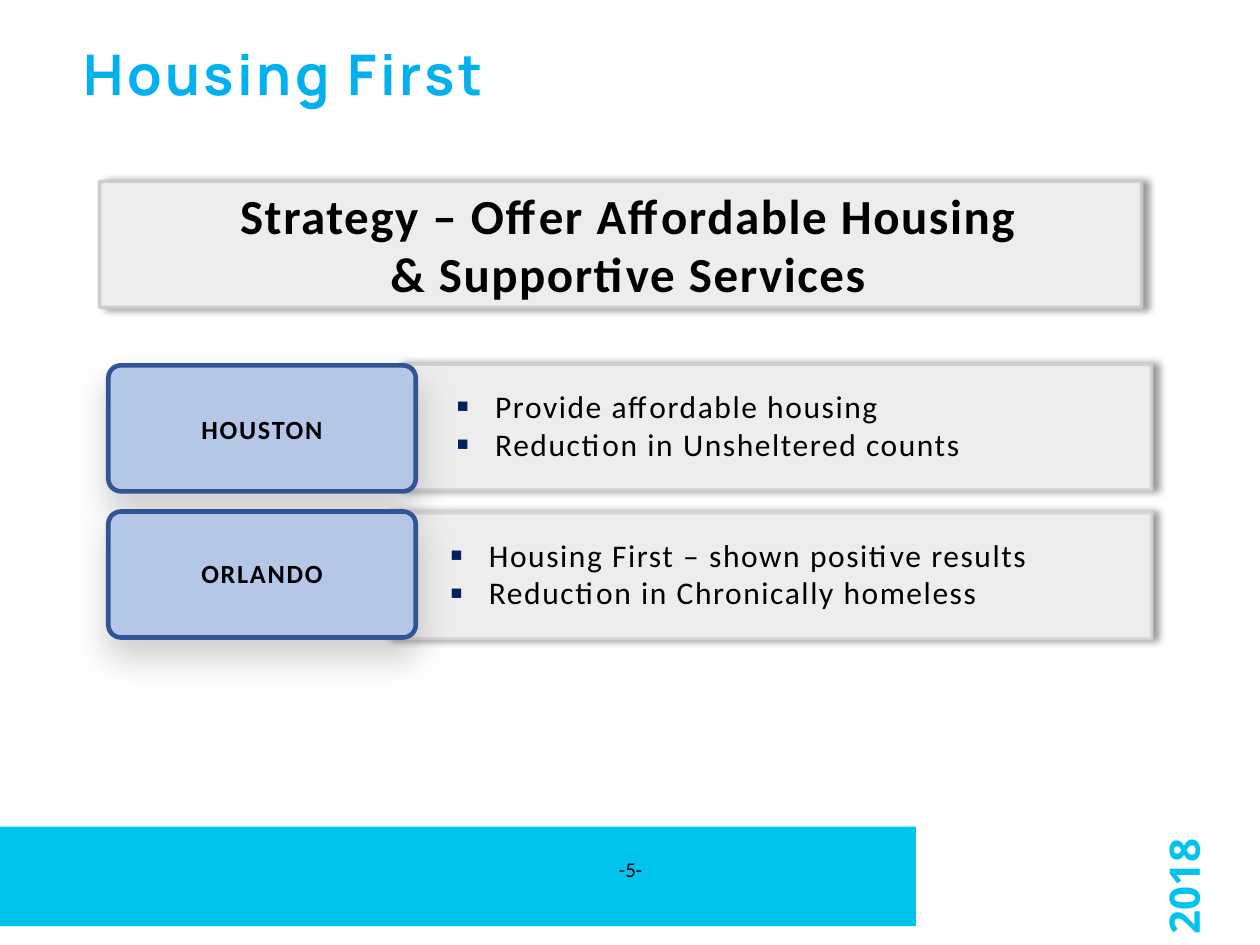
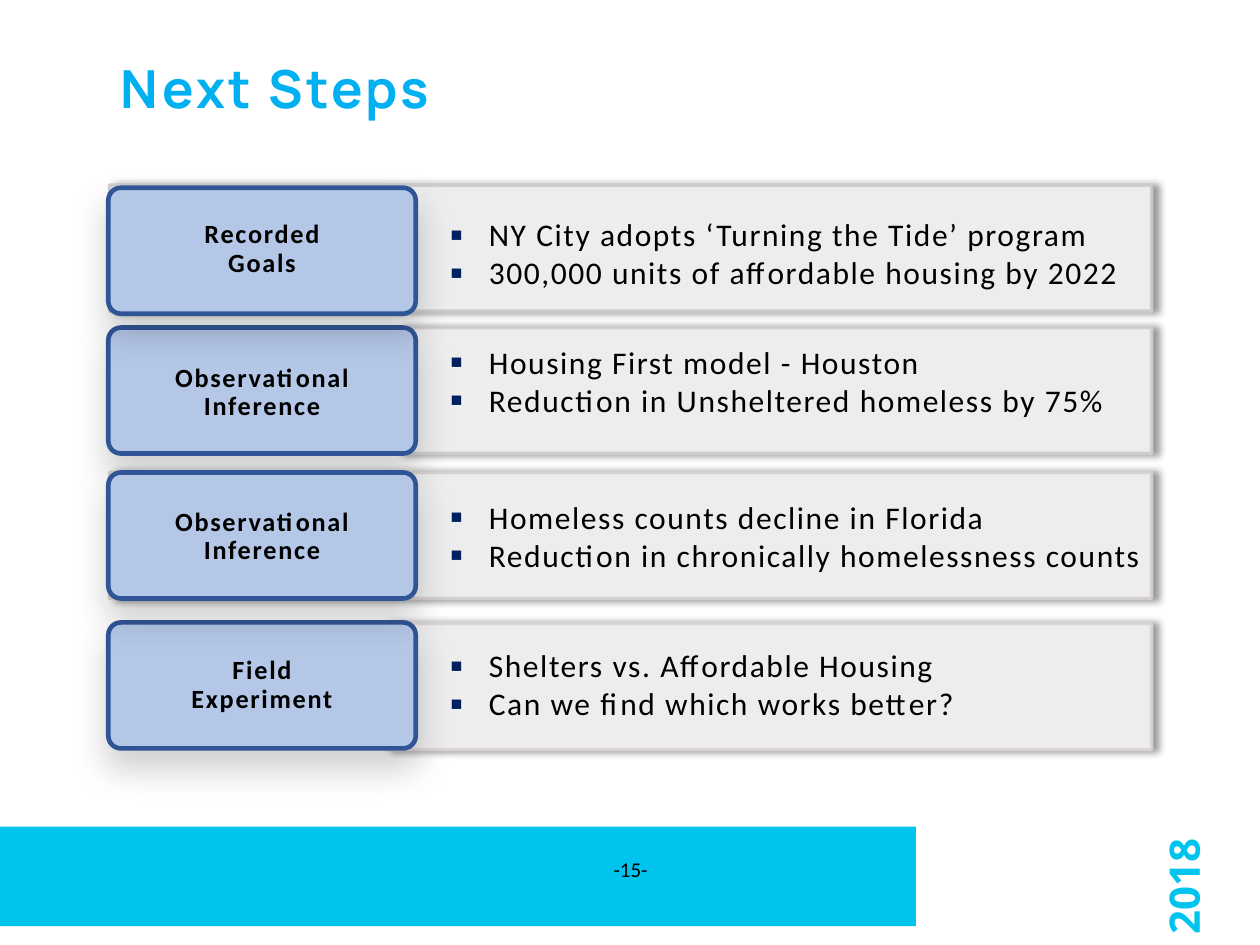
"""Build two housing strategy slides with a shared title style, panels, label cards and footer."""
import dataclasses
import typing

import lxml.etree
import pptx
import pptx.dml.color
import pptx.enum.shapes
import pptx.enum.text
import pptx.oxml.ns
import pptx.shapes.autoshape
import pptx.slide
import pptx.util

EMU_PER_PX = 9144
CYAN, TITLE_BLUE, NAVY, BLACK = "00C4ED", "00B0F0", "002060", "000000"
PANEL_GREY, CARD_BLUE, CARD_EDGE = "EDEDED", "B4C7E7", "2F5597"
CARD_LEFT, CARD_WIDTH, ROW_HEIGHT, LABEL_HEIGHT = 86, 244, 100, 74
LIST_HEIGHT, LIST_INDENT = 71, 31

ALIGN = pptx.enum.text.PP_ALIGN
ANCHOR = pptx.enum.text.MSO_ANCHOR
SHAPE = pptx.enum.shapes.MSO_SHAPE
qn = pptx.oxml.ns.qn


class Box(typing.NamedTuple):
    left: int
    top: int
    width: int
    height: int


class Shadow(typing.NamedTuple):
    color: str
    opacity: int
    blur: int
    distance: int
    angle: int


class TextStyle(typing.NamedTuple):
    size: int
    color: str = BLACK
    font: str = "Calibri"
    bold: bool = False
    tracking: int = 0
    align: ALIGN = ALIGN.LEFT
    anchor: ANCHOR = ANCHOR.TOP
    line_spacing: float = 1.0
    inset: tuple[int, int] = (10, 5)


@dataclasses.dataclass
class Panel:
    left: int
    top: int
    width: int
    edge: str


@dataclasses.dataclass
class Row:
    label: str
    card_top: int
    label_top: int
    list_left: int
    list_top: int
    list_width: int
    bullets: str
    raised: bool = False


@dataclasses.dataclass
class Page:
    layout: str
    number: str
    title: str
    title_box: Box
    title_size: int
    panels: list[Panel]
    rows: list[Row]
    strategy: str = ""


PANEL_SHADOW = Shadow("000000", 40, 4, 3, 0)
CARD_SHADOW = Shadow("0D0D0D", 20, 20, 10, 90)
TITLE_STYLE = TextStyle(32, TITLE_BLUE, "Manrope", True, 200, line_spacing=0.9)
LABEL_STYLE = TextStyle(15, bold=True, tracking=100, align=ALIGN.CENTER, anchor=ANCHOR.MIDDLE,
                        line_spacing=0.9, inset=(8, 4))
LIST_STYLE = TextStyle(18, tracking=90)
STRATEGY_STYLE = TextStyle(28, bold=True, tracking=90, align=ALIGN.CENTER)
NUMBER_STYLE = TextStyle(12, align=ALIGN.CENTER, anchor=ANCHOR.MIDDLE)
YEAR_STYLE = TextStyle(24, CYAN, "Open Sans", True, align=ALIGN.RIGHT)

PAGES = [
    Page(
        "Two Content", "-5-", "Housing First", Box(56, 32, 862, 77), 32,
        [Panel(79, 144, 827, "CBCBCB"), Panel(317, 289, 597, "D0CDCD"), Panel(307, 407, 607, "DCD4D4")],
        [
            Row("HOUSTON", 290, 305, 352, 302, 566,
                "Provide affordable housing\nReduction in Unsheltered counts"),
            Row("ORLANDO", 406, 419, 347, 420, 566,
                "Housing First – shown positive results\nReduction in Chronically homeless"),
        ],
        "Strategy – Offer Affordable Housing\n& Supportive Services",
    ),
    Page(
        "Comparison", "-15-", "Next Steps", Box(86, 45, 862, 77), 30,
        [Panel(87, 147, 827, "CBCBCB"), Panel(317, 260, 597, "D0CDCD"),
         Panel(87, 375, 827, "D6D0D0"), Panel(307, 495, 607, "DCD4D4")],
        [
            Row("Recorded\nGoals", 149, 161, 347, 166, 566,
                "NY City adopts ‘Turning the Tide’ program\n300,000 units of affordable housing by 2022", True),
            Row("Observational\nInference", 260, 275, 347, 267, 581,
                "Housing First model - Houston\nReduction in Unsheltered homeless by 75%"),
            Row("Observational\nInference", 375, 389, 347, 390, 575,
                "Homeless counts decline in Florida\nReduction in chronically homelessness counts", True),
            Row("Field\nExperiment", 494, 507, 347, 508, 566,
                "Shelters vs. Affordable Housing\nCan we find which works better?"),
        ],
    ),
]


def px(length: int) -> pptx.util.Emu:
    """Convert pixels to EMU."""
    return pptx.util.Emu(length * EMU_PER_PX)


def rgb(color: str) -> pptx.dml.color.RGBColor:
    """Turn a hex string into a colour."""
    return pptx.dml.color.RGBColor.from_string(color)


def add_element(parent: lxml.etree._Element, tag: str, **attributes: object) -> lxml.etree._Element:
    """Append an XML element with the given attributes."""
    return lxml.etree.SubElement(parent, qn(tag), {name: str(value) for name, value in attributes.items()})


def write_text(shape: pptx.shapes.autoshape.Shape, text: str, style: TextStyle) -> None:
    """Fill a shape with text in one style."""
    frame = shape.text_frame
    frame.text = text
    frame.word_wrap = True
    frame.auto_size = pptx.enum.text.MSO_AUTO_SIZE.NONE
    frame.vertical_anchor = style.anchor
    frame.margin_left = frame.margin_right = px(style.inset[0])
    frame.margin_top = frame.margin_bottom = px(style.inset[1])
    for paragraph in frame.paragraphs:
        paragraph.alignment = style.align
        paragraph.line_spacing = style.line_spacing
        paragraph.space_before = pptx.util.Pt(0)
        for run in paragraph.runs:
            run.font.name = style.font
            run.font.size = pptx.util.Pt(style.size)
            run.font.bold = style.bold
            run.font.color.rgb = rgb(style.color)
            run._r.get_or_add_rPr().set("spc", str(style.tracking))


def add_text(slide: pptx.slide.Slide, box: Box, text: str, style: TextStyle) -> pptx.shapes.autoshape.Shape:
    """Add a text box."""
    shape = slide.shapes.add_textbox(*map(px, box))
    write_text(shape, text, style)
    return shape


def place(shape: pptx.shapes.autoshape.Shape, box: Box) -> None:
    """Move a placeholder to a box and bring it to the front."""
    shape.left, shape.top, shape.width, shape.height = map(px, box)
    tree = shape.element.getparent()
    tree.append(shape.element)


def add_block(slide: pptx.slide.Slide, kind: SHAPE, box: Box, fill: str, edge: str = "",
              weight: float = 0, shadow: Shadow | None = None) -> pptx.shapes.autoshape.Shape:
    """Add a filled shape with an optional edge and shadow."""
    shape = slide.shapes.add_shape(kind, *map(px, box))
    shape.fill.solid()
    shape.fill.fore_color.rgb = rgb(fill)
    if edge:
        shape.line.color.rgb = rgb(edge)
        shape.line.width = pptx.util.Pt(weight)
    else:
        shape.line.fill.background()
    shape.shadow.inherit = False
    if shadow:
        effects = shape.element.spPr.find(qn("a:effectLst"))
        outer = add_element(effects, "a:outerShdw", blurRad=pptx.util.Pt(shadow.blur),
                            dist=pptx.util.Pt(shadow.distance), dir=shadow.angle * 60000,
                            algn="ctr", rotWithShape=0)
        tint = add_element(outer, "a:srgbClr", val=shadow.color)
        add_element(tint, "a:alpha", val=shadow.opacity * 1000)
    return shape


def add_panel(slide: pptx.slide.Slide, panel: Panel) -> None:
    """Add a grey panel with a slightly transparent edge."""
    box = Box(panel.left, panel.top, panel.width, ROW_HEIGHT)
    shape = add_block(slide, SHAPE.RECTANGLE, box, PANEL_GREY, panel.edge, 2, PANEL_SHADOW)
    edge = shape.element.spPr.find(qn("a:ln")).find(f".//{qn('a:srgbClr')}")
    add_element(edge, "a:alpha", val=90000)


def add_card(slide: pptx.slide.Slide, row: Row) -> None:
    """Add a rounded card and its label."""
    box = Box(CARD_LEFT, row.card_top, CARD_WIDTH, ROW_HEIGHT)
    card = add_block(slide, SHAPE.ROUNDED_RECTANGLE, box, CARD_BLUE, CARD_EDGE, 2.63, CARD_SHADOW)
    card.adjustments[0] = 0.1
    add_text(slide, Box(CARD_LEFT, row.label_top, CARD_WIDTH, LABEL_HEIGHT), row.label, LABEL_STYLE)


def fill_list(shape: pptx.shapes.autoshape.Shape, row: Row) -> None:
    """Fill a body placeholder with a row's bulleted list."""
    place(shape, Box(row.list_left, row.list_top, row.list_width, LIST_HEIGHT))
    write_text(shape, row.bullets, LIST_STYLE)
    for paragraph in shape.text_frame.paragraphs:
        properties = paragraph._p.get_or_add_pPr()
        properties.set("marL", str(px(LIST_INDENT)))
        properties.set("indent", str(px(-LIST_INDENT)))
        bullet_color = add_element(properties, "a:buClr")
        add_element(bullet_color, "a:srgbClr", val=NAVY)
        add_element(properties, "a:buSzPct", val=120000)
        add_element(properties, "a:buChar", char="▪")


def add_footer(slide: pptx.slide.Slide, number: str) -> None:
    """Add the band, the upright year and the page number."""
    add_block(slide, SHAPE.RECTANGLE, Box(0, 656, 727, 79), CYAN)
    year = add_text(slide, Box(914, 656, 61, 132), "2018", YEAR_STYLE)
    year.text_frame._txBody.bodyPr.set("vert", "vert270")
    add_text(slide, Box(388, 670, 225, 40), number, NUMBER_STYLE)


def build_page(presentation: pptx.presentation.Presentation, page: Page) -> None:
    """Build one slide."""
    slide = presentation.slides.add_slide(presentation.slide_layouts.get_by_name(page.layout))
    title, *bodies = slide.placeholders
    add_footer(slide, page.number)
    place(title, page.title_box)
    write_text(title, page.title, TITLE_STYLE._replace(size=page.title_size))
    for panel in page.panels:
        add_panel(slide, panel)
    for row in sorted(page.rows, key=lambda row: row.raised):
        add_card(slide, row)
    if page.strategy:
        add_text(slide, Box(126, 142, 745, 104), page.strategy, STRATEGY_STYLE)
    for body, row in zip(bodies, page.rows):
        fill_list(body, row)


def main() -> None:
    """Build and save the presentation."""
    presentation = pptx.Presentation()
    presentation.slide_width, presentation.slide_height = px(1000), px(750)
    for page in PAGES:
        build_page(presentation, page)
    presentation.save("out.pptx")


if __name__ == "__main__":
    main()
